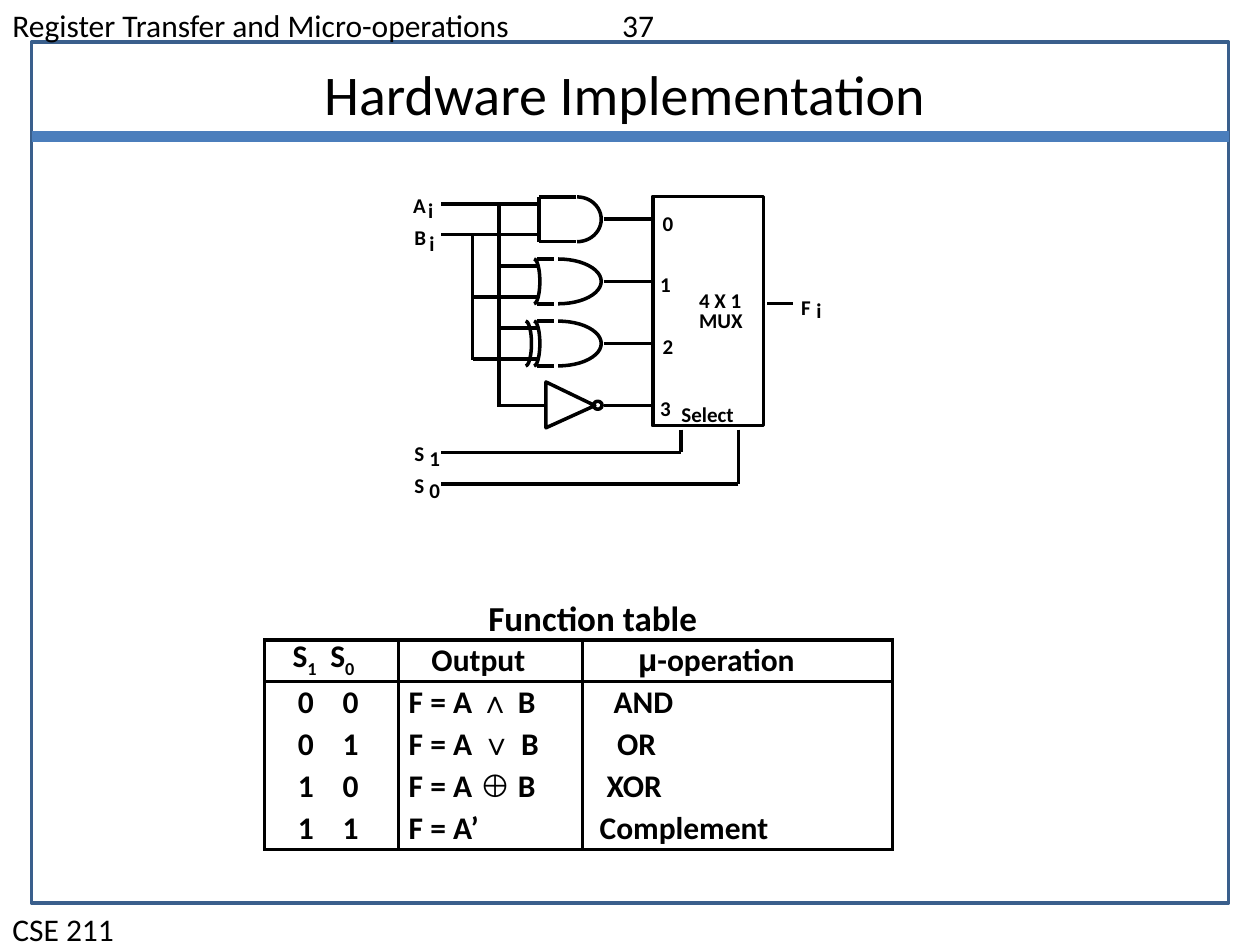
from typing import NamedTuple

from lxml import etree
from pptx import Presentation
from pptx.dml.color import RGBColor
from pptx.enum import shapes as kinds, text as styles
from pptx.oxml import ns
from pptx.util import Pt


class Theme:
    INK = RGBColor(0x00, 0x00, 0x00)
    FRAME = RGBColor(0x3A, 0x5F, 0x8C)
    DIVIDER = RGBColor(0x4B, 0x7E, 0xBC)
    FONT, SYMBOL_FONT = "Calibri", "Arial"
    TITLE, CAPTION, BODY, LABEL = 32, 20, 18, 12
    STROKE = 2


class Label(NamedTuple):
    text: str
    left: float
    top: float
    width: float = 21


class Wire(NamedTuple):
    x1: float
    y1: float
    x2: float
    y2: float


class Cell(NamedTuple):
    runs: list
    indent: float


AND_Y, OR_Y, XOR_Y, NOT_Y = (125.3 + 35.5 * lane for lane in range(4))
INPUT_OFFSET = 8.8
HALF_GATE = 12.8
A_BUS, B_BUS, INPUT_X, GATE_X = 285, 270, 252, 308
OUTPUT_X, MUX_X = 345, 373
S1_X, S0_X, S1_Y, S0_Y = 389, 422, 258.5, 276.5

WIRES = [
    Wire(INPUT_X, AND_Y - INPUT_OFFSET, GATE_X, AND_Y - INPUT_OFFSET),
    Wire(INPUT_X, AND_Y + INPUT_OFFSET, GATE_X, AND_Y + INPUT_OFFSET),
    Wire(A_BUS, AND_Y - INPUT_OFFSET, A_BUS, NOT_Y + 0.7),
    Wire(B_BUS, AND_Y + INPUT_OFFSET, B_BUS, XOR_Y + INPUT_OFFSET + 0.7),
    Wire(A_BUS, NOT_Y, 312, NOT_Y),
    Wire(438.5, 173.5, 453, 173.5),
    Wire(S1_X, 245.5, S1_X, S1_Y),
    Wire(S0_X, 245.5, S0_X, S0_Y),
    Wire(S1_X, S1_Y, INPUT_X, S1_Y),
    Wire(S0_X, S0_Y, INPUT_X, S0_Y),
    *(Wire(OUTPUT_X, y, MUX_X, y) for y in (AND_Y, OR_Y, XOR_Y, NOT_Y)),
    *(Wire(bus, y + side * INPUT_OFFSET, GATE_X, y + side * INPUT_OFFSET)
      for y in (OR_Y, XOR_Y) for bus, side in ((A_BUS, -1), (B_BUS, 1))),
]

LABELS = [
    Label("A", 229, 106.6), Label("i", 237.6, 109.4, 17.3),
    Label("B", 229.7, 124.6), Label("i", 238.3, 128.2, 17.3),
    Label("S", 229.7, 248.4), Label("1", 238.3, 251.3),
    Label("S", 229.7, 266.4), Label("0", 238.3, 269.3),
    Label("F", 450.7, 164.9), Label("i", 459.4, 166.3, 17.3),
    Label("0", 371.5, 116.6), Label("1", 370.1, 151.5),
    Label("2", 371.5, 187.2), Label("3", 370.1, 222.5),
    Label("4 X 1", 392.4, 160.6, 39), Label("MUX", 392.4, 172, 39.6),
    Label("Select", 382.3, 226, 44.6),
]

COLUMN_WIDTHS = [34.6, 41.8, 105.1, 177.2]
HEADER = [
    Cell([("S", ""), ("1", "sub")], 16), Cell([("S", ""), ("0", "sub")], 3),
    Cell([("Output", "")], 19), Cell([("μ", "symbol"), ("-operation", "")], 32),
]
OPERATIONS = [
    ("0", "0", [("F = A ", ""), ("∧", "symbol"), (" B", "")], "AND", 18),
    ("0", "1", [("F = A", ""), (" ∨ ", "symbol"), ("B", "")], "OR", 20),
    ("1", "0", [("F = A ", ""), ("⊕", "symbol"), (" B", "")], "XOR", 14),
    ("1", "1", [("F = A’", "")], "Complement", 10),
]


def apply_format(target, values: dict) -> None:
    for name, value in values.items():
        setattr(target, name, value)


def style_font(font, size: float, bold: bool = False, name: str = Theme.FONT) -> None:
    apply_format(font, {"name": name, "size": Pt(size), "bold": bold})
    font.color.rgb = Theme.INK


def add_text(slide, label: Label, size: float, bold: bool = False, wrap: bool = False):
    box = slide.shapes.add_textbox(Pt(label.left), Pt(label.top), Pt(label.width),
                                   Pt(size * 1.22 + 7.2))
    box.text_frame.word_wrap = wrap
    paragraph = box.text_frame.paragraphs[0]
    run = paragraph.add_run()
    run.text = label.text
    style_font(run.font, size, bold)
    return paragraph


def add_outline(slide, kind, left, top, width, height, color=Theme.INK):
    shape = slide.shapes.add_shape(kind, Pt(left), Pt(top), Pt(width), Pt(height))
    strip_shape(shape, color)
    return shape


def strip_shape(shape, color=Theme.INK) -> None:
    """Leave only a plain outline: no fill and no shadow."""
    shape.shadow.inherit = False
    shape.fill.background()
    shape.line.color.rgb = color
    shape.line.width = Pt(Theme.STROKE)


def add_wire(slide, wire: Wire, color=Theme.INK, width: float = Theme.STROKE) -> None:
    line = slide.shapes.add_connector(kinds.MSO_CONNECTOR.STRAIGHT, *map(Pt, wire))
    line.line.color.rgb = color
    line.line.width = Pt(width)
    etree.SubElement(line._element.spPr, ns.qn("a:effectLst"))


def add_half_ellipse(slide, center_x: float, center_y: float, radius_x: float) -> None:
    """Draw the right half of an ellipse as tall as a gate."""
    arc = add_outline(slide, kinds.MSO_SHAPE.ARC, center_x - radius_x,
                      center_y - HALF_GATE, 2 * radius_x, 2 * HALF_GATE)
    arc.adjustments[1] = 54.0


def add_gate(slide, y: float, edge: tuple, nose: tuple, backs: tuple = ()) -> None:
    """edge is the x range of the straight sides; nose is the curve's centre and radius."""
    for side in (-HALF_GATE, HALF_GATE):
        add_wire(slide, Wire(edge[0], y + side, edge[1], y + side))
    add_half_ellipse(slide, nose[0], y, nose[1])
    for back in backs:
        add_half_ellipse(slide, back, y, 3.3)


def add_inverter(slide) -> None:
    builder = slide.shapes.build_freeform(Pt(312), Pt(NOT_Y - 13.5))
    builder.add_line_segments([(Pt(340), Pt(NOT_Y)), (Pt(312), Pt(NOT_Y + 12.7))])
    strip_shape(builder.convert_to_shape())
    add_outline(slide, kinds.MSO_SHAPE.OVAL, 339.1, NOT_Y - 2.5, 5, 4.6)


def set_borders(cell, visible: dict) -> None:
    properties = cell._tc.get_or_add_tcPr()
    for position, side in enumerate("LRTB"):
        border = etree.Element(ns.qn(f"a:ln{side}"), w=str(Pt(Theme.STROKE)))
        if visible[side]:
            fill = etree.SubElement(border, ns.qn("a:solidFill"))
            etree.SubElement(fill, ns.qn("a:srgbClr"), val=str(Theme.INK))
        else:
            etree.SubElement(border, ns.qn("a:noFill"))
        properties.insert(position, border)


def fill_cell(cell, content: Cell) -> None:
    apply_format(cell, {"margin_left": Pt(content.indent), "margin_right": 0, "margin_top": 0,
                        "margin_bottom": 0, "vertical_anchor": styles.MSO_ANCHOR.MIDDLE})
    cell.fill.background()
    paragraph = cell.text_frame.paragraphs[0]
    paragraph.line_spacing = Pt(22)
    for words, role in content.runs:
        run = paragraph.add_run()
        run.text = words
        style_font(run.font, Theme.BODY, True,
                   Theme.SYMBOL_FONT if role == "symbol" else Theme.FONT)
        if role == "sub":
            run._r.get_or_add_rPr().set("baseline", "-25000")


def add_function_table(slide) -> None:
    rows = [HEADER] + [
        [Cell([(s1, "")], 19), Cell([(s0, "")], 10), Cell(output, 6),
         Cell([(operation, "")], indent)]
        for s1, s0, output, operation, indent in OPERATIONS
    ]
    row_height, last = 24, len(rows) - 1
    table = slide.shapes.add_table(len(rows), len(COLUMN_WIDTHS), Pt(151.2), Pt(365.7),
                                   Pt(sum(COLUMN_WIDTHS)), Pt(row_height * len(rows))).table
    apply_format(table, {"first_row": False, "horz_banding": False})
    for column, width in zip(table.columns, COLUMN_WIDTHS):
        column.width = Pt(width)
    for r, row in enumerate(rows):
        table.rows[r].height = Pt(row_height)
        for c, content in enumerate(row):
            fill_cell(table.cell(r, c), content)
            set_borders(table.cell(r, c), {"L": c != 1, "R": c != 0,
                                           "T": r < 2, "B": r in (0, last)})


def add_page_furniture(slide) -> None:
    add_outline(slide, kinds.MSO_SHAPE.RECTANGLE, 18, 24, 684, 492, Theme.FRAME)
    add_wire(slide, Wire(18, 78, 702, 78), Theme.DIVIDER, 6.75)
    header = add_text(slide, Label("Register Transfer and Micro-operations\t37", 0, 0, 720),
                      Theme.BODY, wrap=True)
    tabs = etree.SubElement(header._p.get_or_add_pPr(), ns.qn("a:tabLst"))
    etree.SubElement(tabs, ns.qn("a:tab"), pos=str(Pt(348.5)), algn="l")
    add_text(slide, Label("CSE 211", 0, 516.2, 720), Theme.BODY, wrap=True)

    title = slide.shapes.title
    apply_format(title, {"left": Pt(54), "top": Pt(30.2), "width": Pt(606), "height": Pt(46)})
    title.text_frame.text = "Hardware Implementation"
    title.text_frame.vertical_anchor = styles.MSO_ANCHOR.MIDDLE
    heading = title.text_frame.paragraphs[0]
    heading.alignment = styles.PP_ALIGN.CENTER
    style_font(heading.runs[0].font, Theme.TITLE)


def add_circuit(slide) -> None:
    add_outline(slide, kinds.MSO_SHAPE.RECTANGLE, MUX_X, 112.3, 63.4, 131)
    for wire in WIRES:
        add_wire(slide, wire)
    add_wire(slide, Wire(GATE_X, AND_Y - HALF_GATE, GATE_X, AND_Y + HALF_GATE))
    add_gate(slide, AND_Y, (GATE_X, 329), (329.8, 13.8))
    add_gate(slide, OR_Y, (306.7, 316.8), (319, 24.6), (305.2,))
    add_gate(slide, XOR_Y, (306.7, 316.8), (319, 24.6), (305.2, 300.4))
    add_inverter(slide)
    for label in LABELS:
        add_text(slide, label, Theme.LABEL, bold=True)


def main() -> None:
    deck = Presentation()
    apply_format(deck, {"slide_width": Pt(720), "slide_height": Pt(540)})
    slide = deck.slides.add_slide(deck.slide_layouts[5])
    add_page_furniture(slide)
    add_circuit(slide)
    add_text(slide, Label("Function table", 272, 337.5, 135), Theme.CAPTION, bold=True)
    add_function_table(slide)
    deck.save("out.pptx")


if __name__ == "__main__":
    main()
